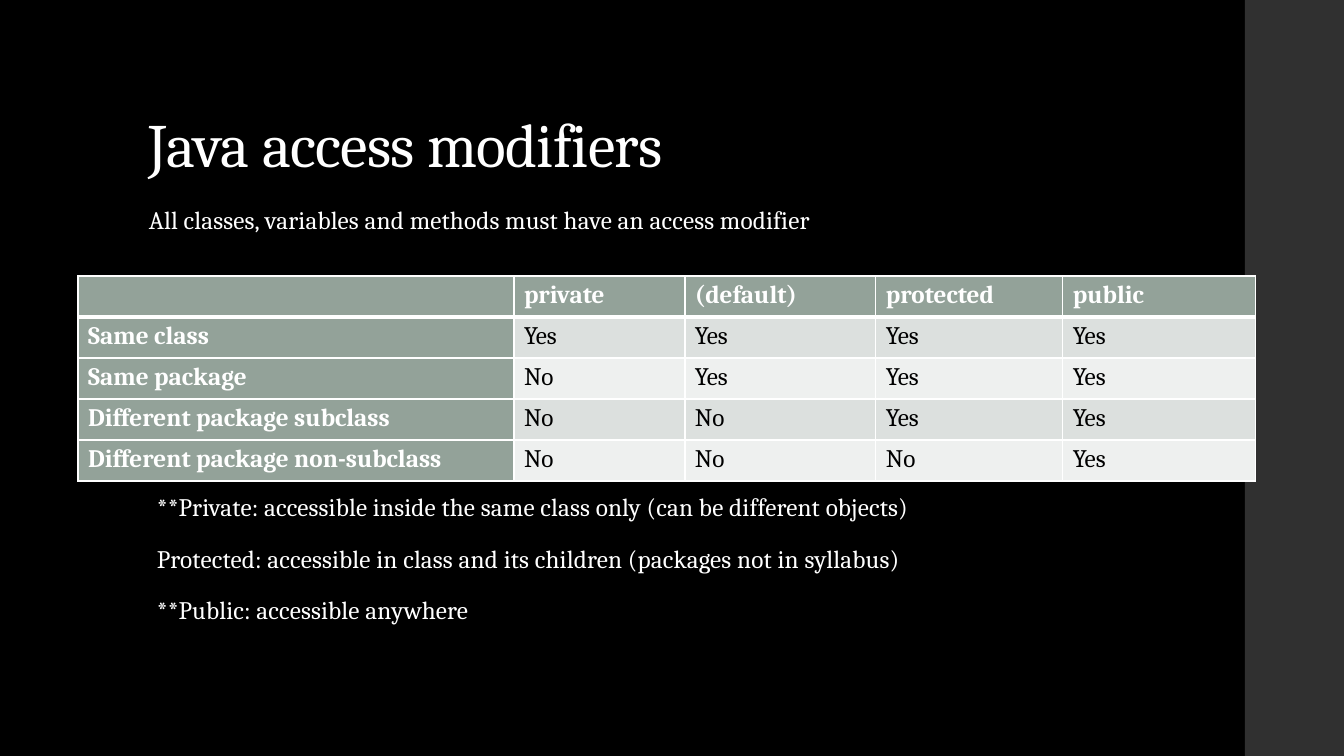
"""Builds the slide on Java access modifiers."""
import dataclasses

import lxml.etree
import pptx
import pptx.dml.color
import pptx.enum.shapes
import pptx.enum.text
import pptx.oxml.ns
import pptx.util

EMU_PER_PX = 914400 / 100.8


@dataclasses.dataclass(frozen=True)
class Theme:
    font: str = "Cambria"
    background: str = "000000"
    sidebar: str = "303030"
    light: str = "FFFFFF"
    dark: str = "000000"
    heading_fill: str = "93A299"
    bands: tuple = ("DCE0DE", "EEF0EF")
    title_size: int = 44
    body_size: int = 18
    rule: int = 1
    header_rule: int = 3


THEME = Theme()
BODY_FORMAT = dict(line_spacing=0.95, before=14, after=2, tracking=10)

COLUMN_WIDTHS = (436, 171, 191, 187, 193)
ROW_HEIGHT = 41
ACCESS_ROWS = (
    ("", "private", "(default)", "protected", "public"),
    ("Same class", "Yes", "Yes", "Yes", "Yes"),
    ("Same package", "No", "Yes", "Yes", "Yes"),
    ("Different package subclass", "No", "No", "Yes", "Yes"),
    ("Different package non-subclass", "No", "No", "No", "Yes"),
)
NOTES = (
    "**Private: accessible inside the same class only (can be different objects)",
    "Protected: accessible in class and its children (packages not in syllabus)",
    "**Public: accessible anywhere",
)


def px(length):
    return pptx.util.Emu(round(length * EMU_PER_PX))


def paint(fill, color):
    fill.solid()
    fill.fore_color.rgb = pptx.dml.color.RGBColor.from_string(color)


def write(para, text, *, size=THEME.body_size, color=THEME.light, bold=False,
          line_spacing=None, before=None, after=None, tracking=None):
    if line_spacing is not None:
        para.line_spacing = line_spacing
    if before is not None:
        para.space_before = pptx.util.Pt(before)
    if after is not None:
        para.space_after = pptx.util.Pt(after)
    span = para.add_run()
    span.text = text
    span.font.name = THEME.font
    span.font.size = pptx.util.Pt(size)
    span.font.bold = bold
    span.font.color.rgb = pptx.dml.color.RGBColor.from_string(color)
    if tracking is not None:
        span.font._element.set("spc", str(tracking))


def add_text(page, bounds, lines, anchor=pptx.enum.text.MSO_ANCHOR.TOP, **text_format):
    box = page.shapes.add_textbox(*map(px, bounds))
    frame = box.text_frame
    frame.word_wrap = True
    frame.vertical_anchor = anchor
    for index, line in enumerate(lines):
        para = frame.add_paragraph() if index else frame.paragraphs[0]
        write(para, line, **text_format)


def add_sidebar(page, bounds):
    sidebar = page.shapes.add_shape(
        pptx.enum.shapes.MSO_SHAPE.RECTANGLE, *map(px, bounds))
    sidebar.shadow.inherit = False
    paint(sidebar.fill, THEME.sidebar)
    sidebar.line.fill.background()


def set_border(cell, side, width):
    qn = pptx.oxml.ns.qn
    border = lxml.etree.SubElement(
        cell._tc.get_or_add_tcPr(), qn(f"a:ln{side}"), w=str(pptx.util.Pt(width)))
    solid = lxml.etree.SubElement(border, qn("a:solidFill"))
    lxml.etree.SubElement(solid, qn("a:srgbClr"), val=THEME.light)


def format_cell(cell, text, row, column):
    is_heading = row == 0 or column == 0
    top = THEME.header_rule if row == 1 else THEME.rule
    bottom = THEME.header_rule if row == 0 else THEME.rule
    for side, width in zip("LRTB", (THEME.rule, THEME.rule, top, bottom)):
        set_border(cell, side, width)
    paint(cell.fill, THEME.heading_fill if is_heading else THEME.bands[(row - 1) % 2])
    write(cell.text_frame.paragraphs[0], text, bold=is_heading,
          color=THEME.light if is_heading else THEME.dark)


def add_access_table(page, left, top):
    bounds = (left, top, sum(COLUMN_WIDTHS), ROW_HEIGHT * len(ACCESS_ROWS))
    table = page.shapes.add_table(
        len(ACCESS_ROWS), len(COLUMN_WIDTHS), *map(px, bounds)).table
    table.first_col = True
    for column, width in zip(table.columns, COLUMN_WIDTHS):
        column.width = px(width)
    for row, texts in enumerate(ACCESS_ROWS):
        table.rows[row].height = px(ROW_HEIGHT)
        for column, text in enumerate(texts):
            format_cell(table.cell(row, column), text, row, column)


def main():
    deck = pptx.Presentation()
    deck.slide_width, deck.slide_height = px(1344), px(756)
    page = deck.slides.add_slide(deck.slide_layouts[6])
    paint(page.background.fill, THEME.background)
    add_sidebar(page, (1245, 0, 99, 756))
    add_text(page, (139, 40, 1068, 146), ["Java access modifiers"],
             anchor=pptx.enum.text.MSO_ANCHOR.BOTTOM,
             size=THEME.title_size, line_spacing=0.9, tracking=-50)
    add_text(page, (139, 202, 948, 59),
             ["All classes, variables and methods must have an access modifier"],
             **BODY_FORMAT)
    add_access_table(page, 78, 276)
    add_text(page, (147, 489, 948, 245), NOTES, **BODY_FORMAT)
    deck.save("out.pptx")


if __name__ == "__main__":
    main()
